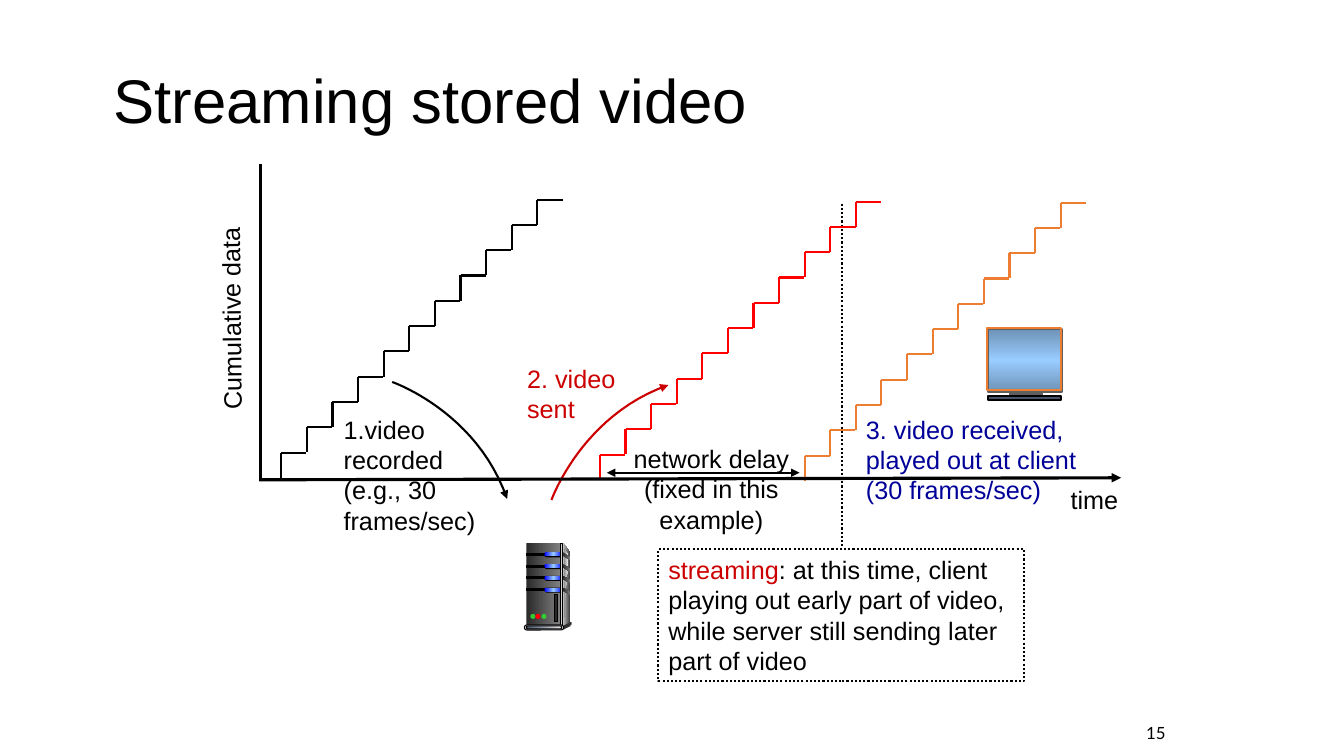
import copy
import pptx
import pptx.util
import pptx.dml.color
import pptx.enum.dml
import pptx.enum.shapes
import pptx.enum.text
import pptx.oxml.ns
from lxml import etree

Inches = pptx.util.Inches
SHAPE = pptx.enum.shapes.MSO_SHAPE
ANCHOR = pptx.enum.text.MSO_ANCHOR
ALIGN = pptx.enum.text.PP_ALIGN
FIT = pptx.enum.text.MSO_AUTO_SIZE
DOTS = pptx.enum.dml.MSO_LINE.ROUND_DOT
qn = pptx.oxml.ns.qn

HUES = {
    "black": "000000", "white": "FFFFFF", "red": "FF0000", "brick": "CC0000",
    "navy": "000099", "orange": "ED7D31", "green": "33CC33", "blue": "0000FF",
    "sky": "99CCFF", "steel": "6D92B6", "slate": "44546A", "ash": "E7E6E6",
    "coal": "292929", "dark": "333333", "iron": "5F5F5F", "gray": "808080",
    "silver": "DDDDDD", "pale": "F8F8F8",
}
METAL = ("coal", "gray")
LAMP = ("blue", "sky", "blue")


def hue(name):
    return pptx.dml.color.RGBColor.from_string(HUES[name])


def put(item, values):
    for key, value in values.items():
        setattr(item, key, value)


def paint(shape, fill, angle=0):
    if fill is None:
        shape.fill.background()
    elif isinstance(fill, str):
        shape.fill.solid()
        shape.fill.fore_color.rgb = hue(fill)
    else:
        shape.fill.gradient()
        shape.fill.gradient_angle = angle
        stops = shape._element.spPr.find(qn("a:gradFill")).find(qn("a:gsLst"))
        while len(stops) < len(fill):
            stops.append(copy.deepcopy(stops[-1]))
        for i, stop in enumerate(shape.fill.gradient_stops):
            stop.position = i / (len(fill) - 1)
            stop.color.rgb = hue(fill[i])


def ink(item, color, width, dash=None, head=False, tail=False):
    if color is None:
        item.line.fill.background()
        return
    item.line.color.rgb = hue(color)
    put(item.line, {"width": pptx.util.Pt(width), "dash_style": dash})
    pen = item._element.spPr.find(qn("a:ln"))
    for tag, shown in (("a:headEnd", head), ("a:tailEnd", tail)):
        if shown:
            etree.SubElement(pen, qn(tag), type="triangle")


def box(slide, place, fill=None, line=None, width=0.75, kind=SHAPE.RECTANGLE,
        angle=0, dash=None):
    shape = slide.shapes.add_shape(kind, *map(Inches, place))
    shape.shadow.inherit = False
    if kind == SHAPE.ROUNDED_RECTANGLE:
        shape.adjustments[0] = 0.5
    paint(shape, fill, angle)
    ink(shape, line, width, dash)
    return shape


def poly(slide, points, fill=None, line=None, width=0.75, close=True, tail=False):
    spots = [(Inches(x), Inches(y)) for x, y in points]
    pen = slide.shapes.build_freeform(*spots[0])
    pen.add_line_segments(spots[1:], close=close)
    shape = pen.convert_to_shape()
    shape.shadow.inherit = False
    paint(shape, fill)
    ink(shape, line, width, tail=tail)


def curve(slide, knots, color):
    points = []
    for i in range(25):
        t = i / 24
        u = 1 - t
        parts = (u ** 3, 3 * u * u * t, 3 * u * t * t, t ** 3)
        points.append([sum(p * k[axis] for p, k in zip(parts, knots)) for axis in (0, 1)])
    poly(slide, points, None, color, 1.5, close=False, tail=True)


def line(slide, start, end, color="black", width=1.5, **style):
    kind = pptx.enum.shapes.MSO_CONNECTOR.STRAIGHT
    link = slide.shapes.add_connector(kind, *map(Inches, start + end))
    ink(link, color, width, **style)
    etree.SubElement(link._element.spPr, qn("a:effectLst"))


def stairs(slide, left, base, color):
    for i in range(11):
        x, y = left + 2.54 * i / 10, base - 2.51 * i / 10
        line(slide, (x, y - 0.25), (x, y), color)
        line(slide, (x, y - 0.25), (x + 0.25, y - 0.25), color)


def write(shape, paras, color="black", size=18, font="Arial", align=ALIGN.LEFT,
          anchor=ANCHOR.TOP, fit=FIT.SHAPE_TO_FIT_TEXT, wrap=True, space=1.0):
    frame = shape.text_frame
    put(frame, {"word_wrap": wrap, "auto_size": fit, "vertical_anchor": anchor})
    for i, runs in enumerate(paras):
        para = frame.add_paragraph() if i else frame.paragraphs[0]
        put(para, {"alignment": align, "line_spacing": space})
        for words, tint in [(runs, color)] if isinstance(runs, str) else runs:
            run = para.add_run()
            run.text = words
            put(run.font, {"size": pptx.util.Pt(size), "name": font})
            run.font.color.rgb = hue(tint)


def label(slide, place, paras, **style):
    shape = slide.shapes.add_textbox(*map(Inches, place))
    write(shape, paras, **style)
    return shape


def number(shape):
    props = shape.text_frame.paragraphs[0]._p.get_or_add_pPr()
    put(props, {"marL": Inches(0.38), "indent": -Inches(0.38)})
    etree.SubElement(props, qn("a:buFont"), typeface="Arial")
    etree.SubElement(props, qn("a:buAutoNum"), type="arabicPeriod")


def server(slide):
    pill, oval = SHAPE.ROUNDED_RECTANGLE, SHAPE.OVAL
    poly(slide, [(5.59, 5.39), (5.66, 5.49), (5.66, 6.18), (5.57, 6.21)], ("silver", "dark"))
    box(slide, (5.22, 5.39, 0.34, 0.82), METAL)
    poly(slide, [(5.59, 5.44), (5.64, 5.51), (5.61, 5.85), (5.59, 6.19)], ("gray", "pale"))
    for i in range(4):
        top = 5.48 + 0.35 * i / 3
        box(slide, (5.22, top + 0.01, 0.19, 0.02), "black", "black")
        box(slide, (5.4, top, 0.19, 0.05), "black", kind=pill)
        box(slide, (5.4, top, 0.18, 0.04), LAMP, kind=pill)
    box(slide, (5.56, 5.39, 0.02, 0.82), ("dark", "silver", "dark"), "black")
    for i in range(4):
        top, drop = 5.48 + 0.35 * i / 3, 0.05 - 0.01 * i / 3
        poly(slide, [(5.58, top), (5.66, top + drop), (5.66, top + drop + 0.03),
                     (5.58, top + 0.03)], METAL)
    box(slide, (5.65, 6.17, 0.02, 0.03), "dark", kind=oval)
    poly(slide, [(5.58, 6.21), (5.58, 6.25), (5.66, 6.21), (5.66, 6.17)], "dark")
    box(slide, (5.2, 6.2, 0.39, 0.05), "silver", "black", kind=pill)
    box(slide, (5.22, 6.21, 0.35, 0.03), ("slate", "ash"), "black", kind=pill)
    for left, color in ((5.26, "green"), (5.31, "red"), (5.37, "green")):
        box(slide, (left, 6.09, 0.05, 0.05), color, kind=oval)
    box(slide, (5.5, 5.9, 0.03, 0.27), "coal", "black")


def screen(slide):
    box(slide, (9.8, 3.26, 0.73, 0.63), ("steel", "sky", "steel"), "iron", 1.5, angle=90)
    box(slide, (10.02, 3.88, 0.31, 0.04), "iron", "iron", 1.5)
    box(slide, (9.8, 3.93, 0.72, 0.04), "slate", "black", 1.5)
    box(slide, (9.79, 3.25, 0.73, 0.62), None, "orange", 1.5)


def main():
    deck = pptx.Presentation()
    put(deck, {"slide_width": Inches(13.33), "slide_height": Inches(7.5)})
    slide = deck.slides.add_slide(deck.slide_layouts[6])
    server(slide)
    label(slide, (1.03, 0.4, 8.5, 1.25), ["Streaming stored video"], size=44,
          anchor=ANCHOR.MIDDLE, fit=FIT.NONE, space=0.9)
    line(slide, (2.58, 1.63), (2.58, 4.75), width=2.25)

    curve(slide, [(3.89, 3.79), (3.89, 3.79), (4.73, 4.08), (5.03, 4.95)], "black")
    number(label(slide, (3.31, 4.06, 1.82, 1.31), ["video", "recorded (e.g., 30 frames/sec)"]))
    stairs(slide, 2.79, 4.74, "black")

    curve(slide, [(5.47, 4.96), (5.47, 4.96), (5.77, 4.12), (6.63, 3.82)], "brick")
    label(slide, (5.13, 3.55, 1.09, 0.71), ["2. video", "sent"], color="brick", wrap=False)
    label(slide, (1.22, 2.89, 2.14, 0.4), ["Cumulative data"]).rotation = 269.4

    line(slide, (8.35, 2.02), (8.35, 5.43), dash=DOTS)
    note = box(slide, (6.53, 5.45, 3.63, 1.31), None, "black", 1.5, dash=DOTS)
    write(note, [[("streaming", "brick"), (": at this time, client", "black")],
                 "playing out early part of video,",
                 "while server still sending later", "part of video"], wrap=False)

    delay = box(slide, (6.15, 4.35, 1.81, 1.01), "white")
    write(delay, ["network delay", "(fixed in this example)"], align=ALIGN.CENTER)
    line(slide, (6.02, 4.69), (7.93, 4.69), head=True, tail=True)
    label(slide, (10.52, 4.76, 0.68, 0.4), ["time"], wrap=False)

    stairs(slide, 5.95, 4.76, "red")
    stairs(slide, 7.98, 4.77, "orange")
    label(slide, (8.49, 4.06, 2.82, 1.01),
          ["3. video received,", "played out at client", "(30 frames/sec)"], color="navy")
    screen(slide)
    line(slide, (11.12, 4.74), (2.57, 4.76), width=2.25, head=True)
    label(slide, (10.91, 7.12, 0.75, 0.3), ["15"], size=12, font="Lato",
          align=ALIGN.RIGHT, anchor=ANCHOR.MIDDLE, fit=FIT.NONE)
    deck.save("out.pptx")


if __name__ == "__main__":
    main()
